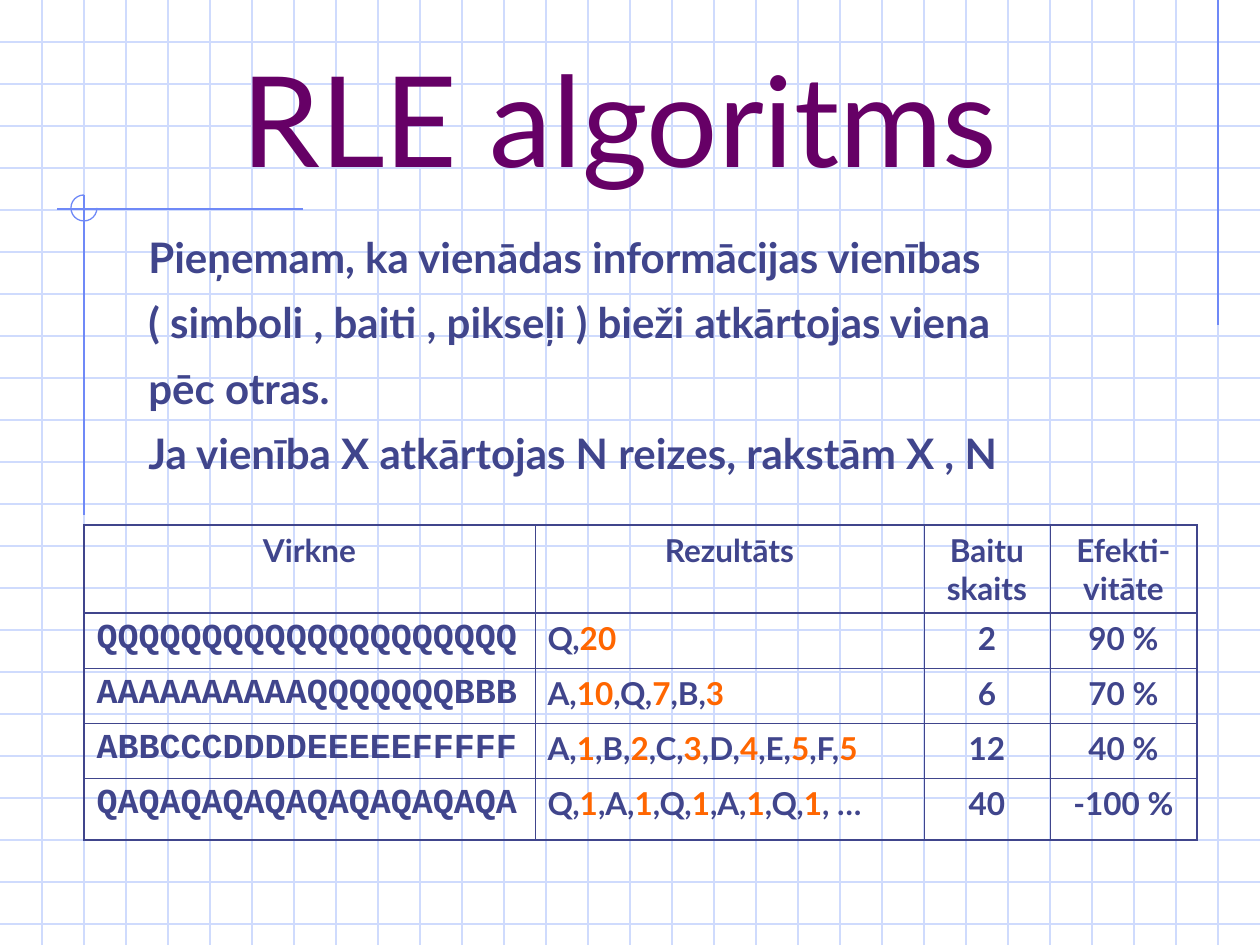
from itertools import groupby

from lxml.etree import SubElement
from pptx import Presentation
from pptx.dml.color import RGBColor
from pptx.enum.shapes import MSO_CONNECTOR, MSO_SHAPE
from pptx.enum.text import MSO_ANCHOR, MSO_AUTO_SIZE, PP_ALIGN
from pptx.oxml.ns import qn
from pptx.util import Emu, Pt

PX = 914400 / 126
WIDTH, HEIGHT, GRID = 1260, 945, 42
COLORS = {"grid": "CFDBFD", "accent": "6F89F7", "title": "660066",
          "text": "40458C", "count": "FF6600"}
SANS, MONO = "Lato", "Courier New"
THIN, THICK = 0.45, 1.08
COLUMN_WIDTHS = [451, 389, 126, 147]
ROW_HEIGHTS = [88, 55, 55, 55, 62]
HEADER = ["Virkne", "Rezultāts", "Baitu skaits", "Efekti-vitāte"]
EXAMPLES = [
    ["QQQQQQQQQQQQQQQQQQQQ", "Q,20", "2", "90 %"],
    ["AAAAAAAAAAQQQQQQQBBB", "A,10,Q,7,B,3", "6", "70 %"],
    ["ABBCCCDDDDEEEEEFFFFF", "A,1,B,2,C,3,D,4,E,5,F,5", "12", "40 %"],
    ["QAQAQAQAQAQAQAQAQAQA", "Q,1,A,1,Q,1,A,1,Q,1, …", "40", "-100 %"],
]
EXPLANATION = [
    "Pieņemam, ka vienādas informācijas vienības",
    "( simboli , baiti , pikseļi ) bieži atkārtojas viena",
    "pēc otras.",
    "Ja vienība X atkārtojas N reizes, rakstām X , N",
]


def px(*lengths):
    """Turn px lengths into EMU."""
    return [Emu(round(length * PX)) for length in lengths]


def rgb(name):
    """Look up a palette colour."""
    return RGBColor.from_string(COLORS[name])


def add_line(slide, start, end, color):
    """Draw a thin straight line."""
    line = slide.shapes.add_connector(MSO_CONNECTOR.STRAIGHT, *px(*start, *end))
    line.line.color.rgb = rgb(color)
    line.line.width = Pt(0.75)
    SubElement(line._element.spPr, qn("a:effectLst"))


def add_grid(slide):
    """Rule the page into squares."""
    for y in range(GRID, HEIGHT, GRID):
        add_line(slide, (0, y), (WIDTH, y), "grid")
    for x in range(GRID, WIDTH, GRID):
        add_line(slide, (x, 0), (x, HEIGHT), "grid")


def add_ornament(slide):
    """Draw the accent lines and the open circle where two of them cross."""
    add_line(slide, (1218, 0), (1218, 325), "accent")
    add_line(slide, (303, 209), (57, 209), "accent")
    add_line(slide, (84, 195), (84, 515), "accent")
    circle = slide.shapes.add_shape(MSO_SHAPE.ARC, *px(71, 195, 26, 26))
    circle.adjustments[0] = 0
    circle.adjustments[1] = 162
    circle.shadow.inherit = False
    circle.fill.background()
    circle.line.color.rgb = rgb("accent")
    circle.line.width = Pt(0.75)


def add_run(paragraph, text, size, color="text", font=SANS, bold=True):
    """Append one styled run."""
    run = paragraph.add_run()
    run.text = text
    run.font.size = Pt(size)
    run.font.name = font
    run.font.bold = bold
    run.font.color.rgb = rgb(color)


def add_title(slide, text):
    """Place the centred heading."""
    frame = slide.shapes.add_textbox(*px(84, 42, 1071, 157)).text_frame
    frame.word_wrap = True
    frame.vertical_anchor = MSO_ANCHOR.BOTTOM
    heading = frame.paragraphs[0]
    heading.alignment = PP_ALIGN.CENTER
    add_run(heading, text, 72, "title", bold=False)


def add_explanation(slide, lines):
    """Place the explanation, one paragraph per line."""
    frame = slide.shapes.add_textbox(*px(136, 210, 1018, 275)).text_frame
    frame.word_wrap = True
    frame.auto_size = MSO_AUTO_SIZE.SHAPE_TO_FIT_TEXT
    for index, text in enumerate(lines):
        paragraph = frame.add_paragraph() if index else frame.paragraphs[0]
        paragraph.line_spacing = 1.3
        add_run(paragraph, text, 24)


def set_borders(cell, row, column):
    """Line a cell, heavier on the outer frame and under the header."""
    last_row, last_column = len(ROW_HEIGHTS) - 1, len(COLUMN_WIDTHS) - 1
    heavy = {"lnL": column == 0, "lnR": column == last_column,
             "lnT": row <= 1, "lnB": row in (0, last_row)}
    properties = cell._tc.get_or_add_tcPr()
    for side, is_heavy in heavy.items():
        width = Pt(THICK if is_heavy else THIN)
        border = SubElement(properties, qn(f"a:{side}"), w=str(width))
        fill = SubElement(border, qn("a:solidFill"))
        SubElement(fill, qn("a:srgbClr"), val=COLORS["text"])


def fill_cell(cell, text, row, column):
    """Write a cell, with run lengths of the result column highlighted."""
    paragraph = cell.text_frame.paragraphs[0]
    if row == 0 or column > 1:
        paragraph.alignment = PP_ALIGN.CENTER
        add_run(paragraph, text, 18)
    elif column == 0:
        add_run(paragraph, text, 20, font=MONO)
    else:
        for is_count, part in groupby(text, str.isdigit):
            add_run(paragraph, "".join(part), 18, "count" if is_count else "text")


def add_examples(slide):
    """Build the table of encoded strings."""
    size = sum(COLUMN_WIDTHS), sum(ROW_HEIGHTS)
    table = slide.shapes.add_table(
        len(ROW_HEIGHTS), len(COLUMN_WIDTHS), *px(84, 525, *size)).table
    table.first_row = table.horz_banding = False
    for column, width in zip(table.columns, px(*COLUMN_WIDTHS)):
        column.width = width
    for row, height in zip(table.rows, px(*ROW_HEIGHTS)):
        row.height = height
    for row, texts in enumerate([HEADER, *EXAMPLES]):
        for column, text in enumerate(texts):
            cell = table.cell(row, column)
            set_borders(cell, row, column)
            cell.fill.background()
            fill_cell(cell, text, row, column)


def main():
    """Build and save the slide."""
    deck = Presentation()
    deck.slide_width, deck.slide_height = px(WIDTH, HEIGHT)
    slide = deck.slides.add_slide(deck.slide_layouts[6])
    add_grid(slide)
    add_ornament(slide)
    add_title(slide, "RLE algoritms")
    add_examples(slide)
    add_explanation(slide, EXPLANATION)
    deck.save("out.pptx")


if __name__ == "__main__":
    main()
